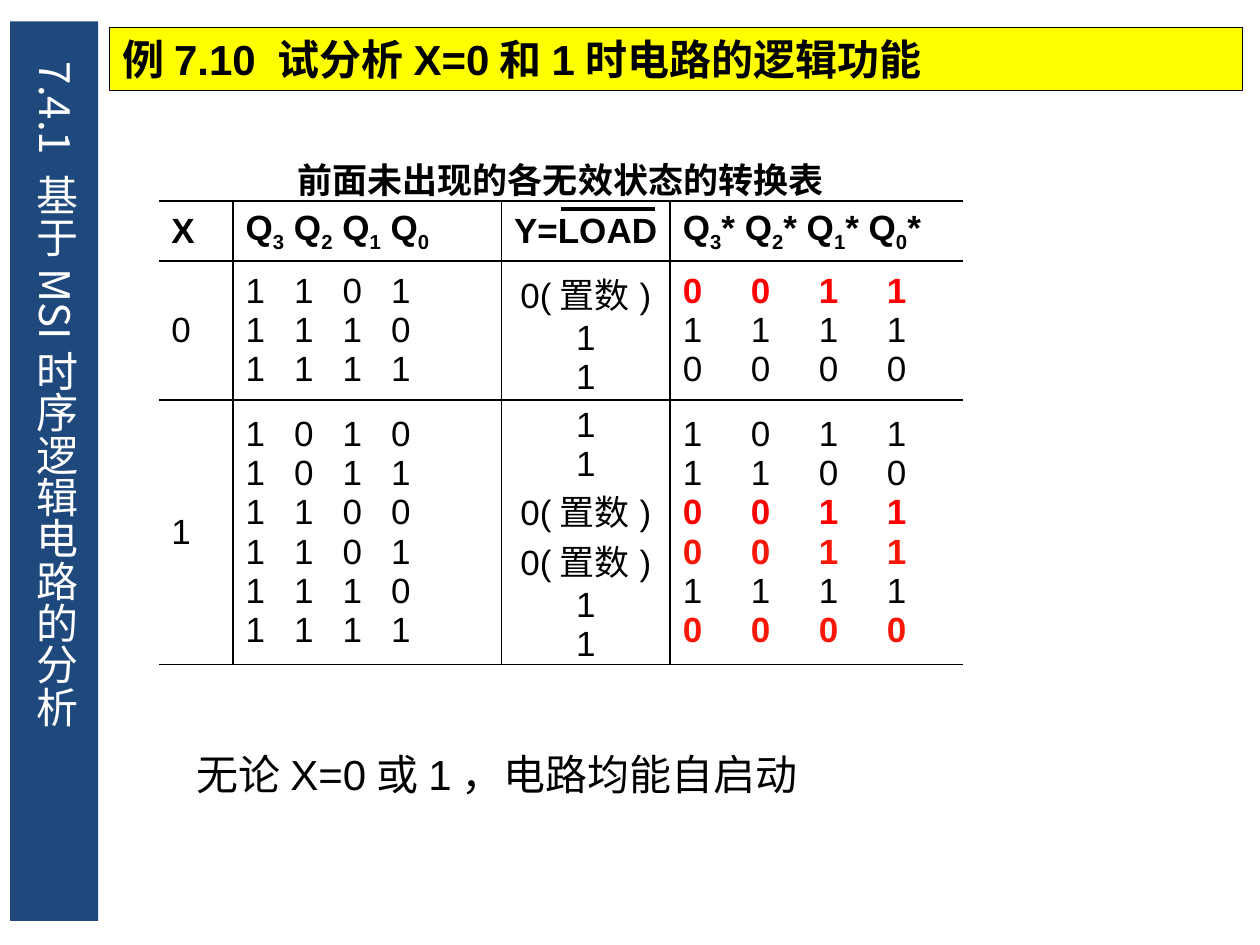
from dataclasses import dataclass
from typing import NamedTuple

from lxml.etree import SubElement
from pptx import Presentation
from pptx.dml.color import RGBColor
from pptx.enum.shapes import MSO_CONNECTOR, MSO_SHAPE
from pptx.enum.text import MSO_ANCHOR, MSO_AUTO_SIZE, PP_ALIGN
from pptx.oxml.ns import qn
from pptx.util import Inches, Pt

BLACK = RGBColor(0, 0, 0)
WHITE = RGBColor(255, 255, 255)
NAVY = RGBColor(0x1F, 0x49, 0x7D)
YELLOW = RGBColor(255, 255, 0)
RED = RGBColor(255, 0, 0)
BRIGHT_RED = RGBColor(0xF9, 0x18, 0x07)
LATIN, CJK = "Arial", "Noto Sans CJK SC"

COLUMN_WIDTHS = (0.59, 2.13, 1.34, 2.32)
ROW_HEIGHTS = (0.43, 0.43, 1.1, 2.1)
STATE_GAP, NEXT_GAP = 0.385, 0.54
PRESET = "0(置数)"


class Transition(NamedTuple):
    state: str
    load: str
    next_state: str
    colour: RGBColor = BLACK


@dataclass
class InputBlock:
    x: str
    transitions: list[Transition]


BLOCKS = [
    InputBlock("0", [
        Transition("1101", PRESET, "0011", RED),
        Transition("1110", "1", "1111"),
        Transition("1111", "1", "0000"),
    ]),
    InputBlock("1", [
        Transition("1010", "1", "1011"),
        Transition("1011", "1", "1100"),
        Transition("1100", PRESET, "0011", RED),
        Transition("1101", PRESET, "0011", BRIGHT_RED),
        Transition("1110", "1", "1111"),
        Transition("1111", "1", "0000", BRIGHT_RED),
    ]),
]


def add_run(paragraph, text: str, size: float = 20, colour: RGBColor = BLACK,
            bold: bool = False, latin: str = LATIN, subscript: bool = False) -> None:
    run = paragraph.add_run()
    run.text = text
    run.font.size = Pt(size)
    run.font.bold = bold
    run.font.color.rgb = colour
    run.font.name = latin
    properties = run.font._element
    SubElement(properties, qn("a:ea")).set("typeface", CJK)
    if subscript:
        properties.set("baseline", "-25000")


def set_borders(cell, **shown: bool) -> None:
    """Draw the sides L, R, T, B that are shown and clear the others."""
    properties = cell._tc.get_or_add_tcPr()
    for side, visible in shown.items():
        line = SubElement(properties, qn(f"a:ln{side}"), w=str(Pt(1)))
        if visible:
            fill = SubElement(line, qn("a:solidFill"))
            SubElement(fill, qn("a:srgbClr"), val=str(BLACK))
        else:
            SubElement(line, qn("a:noFill"))


def add_cell_lines(cell, lines: list[tuple[str, RGBColor]],
                   align: PP_ALIGN = PP_ALIGN.LEFT) -> None:
    frame = cell.text_frame
    for index, (text, colour) in enumerate(lines):
        paragraph = frame.add_paragraph() if index else frame.paragraphs[0]
        paragraph.alignment = align
        add_run(paragraph, text, colour=colour, bold=colour != BLACK)


def add_bit_lines(cell, lines: list[tuple[str, RGBColor]], gap: float) -> None:
    """Write each bit string with its bits on evenly spaced tab stops."""
    add_cell_lines(cell, [("\t".join(bits), colour) for bits, colour in lines])
    for paragraph in cell.text_frame.paragraphs:
        stops = SubElement(paragraph._p.get_or_add_pPr(), qn("a:tabLst"))
        for number in range(1, 4):
            SubElement(stops, qn("a:tab"), pos=str(Inches(gap * number)), algn="l")


def add_state_header(cell, mark: str = "") -> None:
    paragraph = cell.text_frame.paragraphs[0]
    for bit in "3210":
        add_run(paragraph, "Q" if bit == "3" else f"{mark} Q", bold=True)
        add_run(paragraph, bit, bold=True, subscript=True)
    if mark:
        add_run(paragraph, mark, bold=True)


def add_transition_table(slide) -> None:
    table = slide.shapes.add_table(
        len(ROW_HEIGHTS), len(COLUMN_WIDTHS), Inches(1.26), Inches(1.16),
        Inches(sum(COLUMN_WIDTHS)), Inches(sum(ROW_HEIGHTS))).table
    table.first_row = table.horz_banding = False
    for column, width in zip(table.columns, COLUMN_WIDTHS):
        column.width = Inches(width)
    last = len(COLUMN_WIDTHS) - 1
    for r, (row, height) in enumerate(zip(table.rows, ROW_HEIGHTS)):
        row.height = Inches(height)
        for c, cell in enumerate(row.cells):
            set_borders(cell, L=r > 0 and c > 0, R=r > 0 and c < last, T=r > 0, B=True)
            cell.fill.background()
            cell.vertical_anchor = MSO_ANCHOR.MIDDLE

    caption = table.cell(0, 0)
    caption.merge(table.cell(0, last))
    caption_line = caption.text_frame.paragraphs[0]
    caption_line.alignment = PP_ALIGN.CENTER
    add_run(caption_line, "前面未出现的各无效状态的转换表", bold=True)

    add_run(table.cell(1, 0).text_frame.paragraphs[0], "X", bold=True)
    add_state_header(table.cell(1, 1))
    add_run(table.cell(1, 2).text_frame.paragraphs[0], "Y=LOAD", bold=True)
    add_state_header(table.cell(1, 3), "*")

    for r, block in enumerate(BLOCKS, start=2):
        steps = block.transitions
        add_cell_lines(table.cell(r, 0), [(block.x, BLACK)])
        add_bit_lines(table.cell(r, 1), [(s.state, BLACK) for s in steps], STATE_GAP)
        add_cell_lines(table.cell(r, 2), [(s.load, BLACK) for s in steps], PP_ALIGN.CENTER)
        add_bit_lines(table.cell(r, 3), [(s.next_state, s.colour) for s in steps], NEXT_GAP)


def write_statement(shape, text: str, bold: bool = False) -> None:
    """Fill a shape with one left-aligned line that has a hanging indent."""
    frame = shape.text_frame
    frame.word_wrap = True
    frame.auto_size = MSO_AUTO_SIZE.SHAPE_TO_FIT_TEXT
    frame.vertical_anchor = MSO_ANCHOR.TOP
    paragraph = frame.paragraphs[0]
    paragraph.alignment = PP_ALIGN.LEFT
    properties = paragraph._p.get_or_add_pPr()
    properties.set("marL", str(Inches(0.38)))
    properties.set("indent", str(Inches(-0.38)))
    add_run(paragraph, text, 24, bold=bold)


def add_rectangle(slide, left: float, top: float, width: float, height: float,
                  fill: RGBColor):
    shape = slide.shapes.add_shape(MSO_SHAPE.RECTANGLE, Inches(left), Inches(top),
                                   Inches(width), Inches(height))
    shape.shadow.inherit = False
    shape.fill.solid()
    shape.fill.fore_color.rgb = fill
    shape.line.fill.background()
    return shape


def add_section_title(slide) -> None:
    sidebar = add_rectangle(slide, 0.08, 0.17, 0.7, 7.14, NAVY)
    slide.shapes._spTree.insert(2, sidebar._element)  # behind the title
    title = slide.shapes.title
    title.left, title.top = Inches(0.12), Inches(0.44)
    title.width, title.height = Inches(0.65), Inches(6.72)
    frame = title.text_frame
    frame.auto_size = MSO_AUTO_SIZE.NONE
    frame.vertical_anchor = MSO_ANCHOR.MIDDLE
    frame._txBody.bodyPr.set("vert", "eaVert")
    frame.paragraphs[0].alignment = PP_ALIGN.LEFT
    add_run(frame.paragraphs[0], "7.4.1 基于MSI时序逻辑电路的分析", 24, WHITE, latin=CJK)


def add_load_overbar(slide) -> None:
    overbar = slide.shapes.add_connector(MSO_CONNECTOR.STRAIGHT, Inches(4.45),
                                         Inches(1.66), Inches(5.2), Inches(1.66))
    overbar.line.color.rgb = BLACK
    overbar.line.width = Pt(2)
    SubElement(overbar._element.spPr, qn("a:effectLst"))


def main() -> None:
    deck = Presentation()
    deck.slide_width, deck.slide_height = Inches(10), Inches(7.5)
    slide = deck.slides.add_slide(deck.slide_layouts[5])
    add_section_title(slide)
    example = add_rectangle(slide, 0.87, 0.22, 8.99, 0.5, YELLOW)
    example.line.color.rgb = BLACK
    example.line.width = Pt(0.75)
    write_statement(example, "例7.10 试分析X=0和1时电路的逻辑功能", bold=True)
    conclusion = slide.shapes.add_textbox(Inches(1.46), Inches(5.89), Inches(8.54), Inches(0.5))
    write_statement(conclusion, "无论X=0或1，电路均能自启动")
    add_transition_table(slide)
    add_load_overbar(slide)
    deck.save("out.pptx")


if __name__ == "__main__":
    main()
